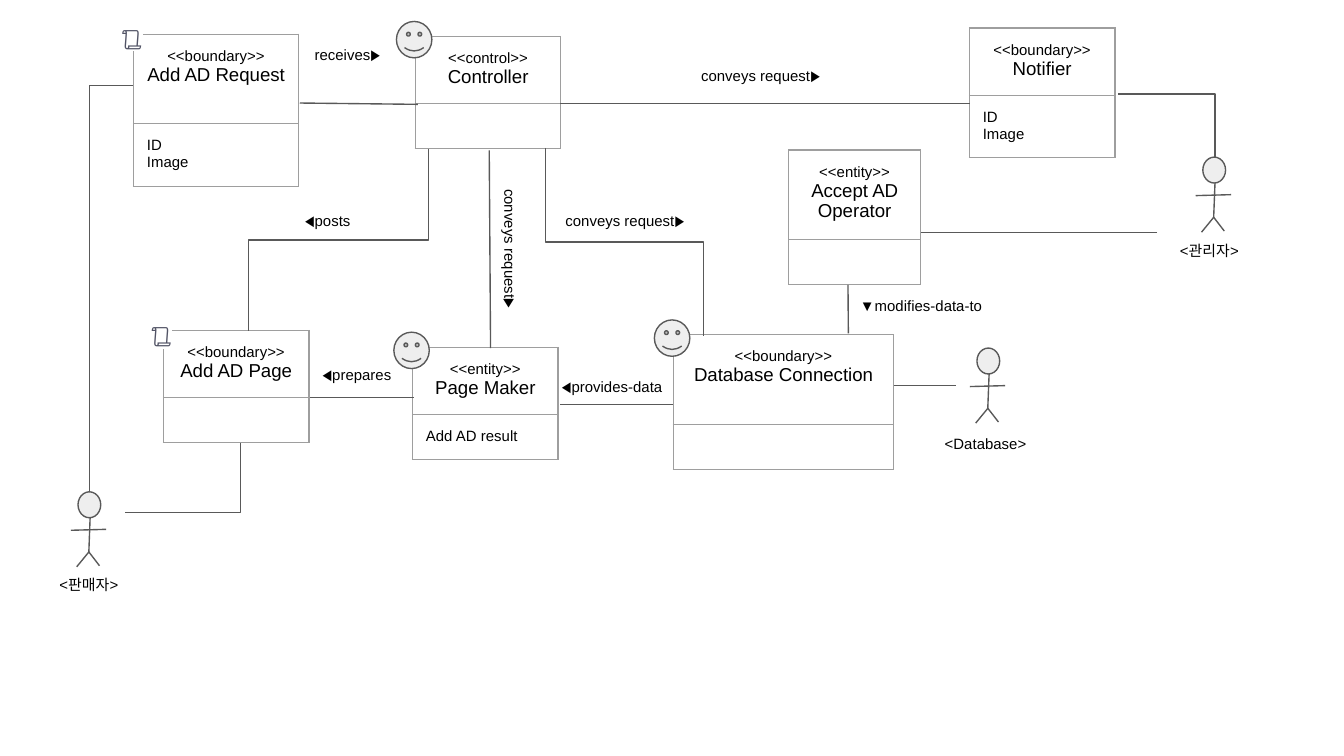
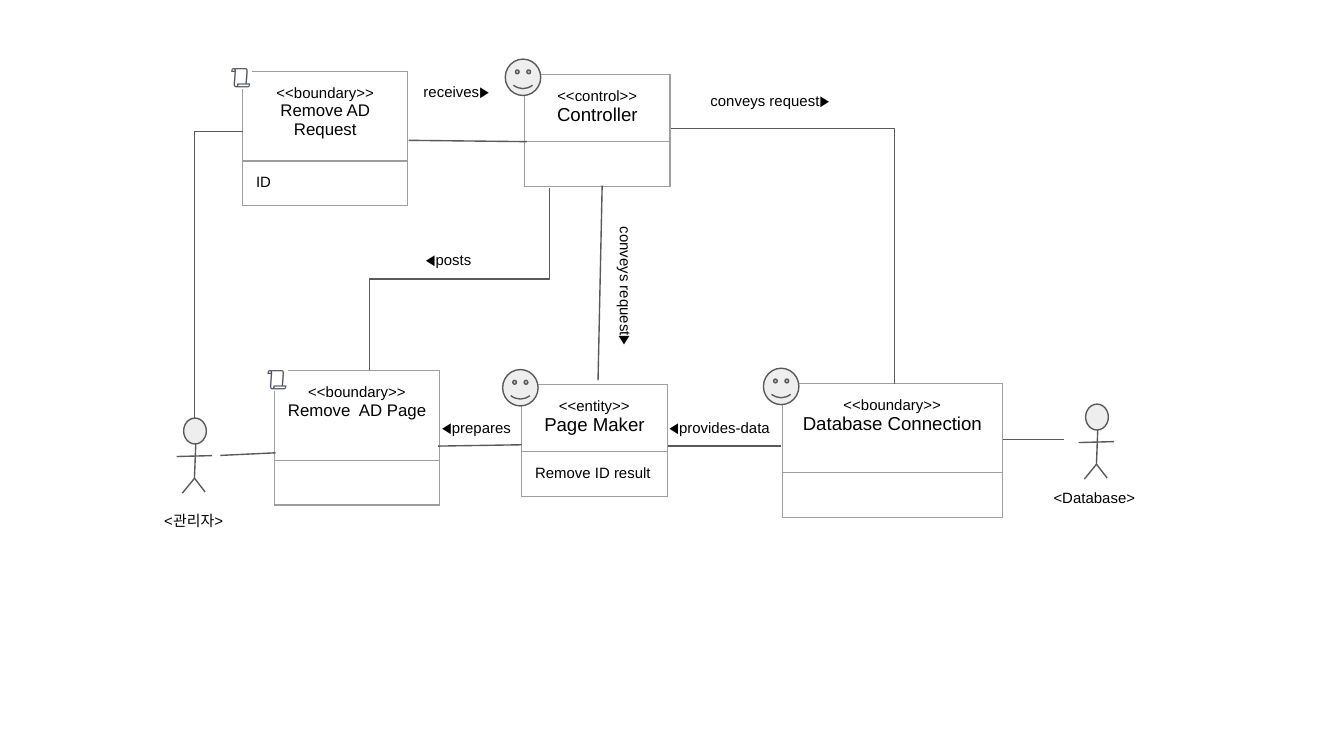
"""Build two class diagrams for adding and removing an advertisement."""
import pptx
import pptx.dml.color
import pptx.enum.dml
import pptx.enum.shapes
import pptx.enum.text
import pptx.oxml
import pptx.oxml.ns
import pptx.util
import lxml.etree

Pt = pptx.util.Pt
RGBColor = pptx.dml.color.RGBColor
SHAPE = pptx.enum.shapes.MSO_SHAPE
CONNECTOR = pptx.enum.shapes.MSO_CONNECTOR
LEFT = pptx.enum.text.PP_ALIGN.LEFT
CENTER = pptx.enum.text.PP_ALIGN.CENTER
qn = pptx.oxml.ns.qn

BLACK = RGBColor(0x00, 0x00, 0x00)
WHITE = RGBColor(0xFF, 0xFF, 0xFF)
INK = RGBColor(0x59, 0x59, 0x59)
PALE = RGBColor(0xEE, 0xEE, 0xEE)
BORDER = RGBColor(0x9E, 0x9E, 0x9E)
SLATE = RGBColor(0x51, 0x53, 0x65)

FONT = "Arial"
SMALL = 8
LINE = 0.75
INSET = 7.2
LABEL_H = 24.5
FACE = (19, 19.5)
SCROLL = (36, 29)
HEAD = (12.2, 13.9)
LIMBS = [
    (5.8, 32.2, 6.5, 13.9),
    (6, 32, -0.7, 40.2),
    (5.8, 32.2, 11.5, 39.6),
    (-3.8, 20.6, 15.1, 20.1),
]

COMPACT = (78, 36, 24)
NOTIFIER = (78, 36, 33.5)
PAGE = (88.5, 48, 24)
REQUEST = (88.5, 48, 33.5)
DATABASE = (118, 48, 24)
OPERATOR = (70.5, 48, 24)

ADD_AD = {
    "boxes": [
        (222.5, 19.5, COMPACT, "<<control>>", "Controller", 10, []),
        (87.5, 177, COMPACT, "<<boundary>>", "Add AD Page", 10, []),
        (71.5, 18.3, REQUEST, "<<boundary>>", "Add AD Request", 10, ["ID", "Image"]),
        (221, 186.2, COMPACT, "<<entity>>", "Page Maker", 10, ["Add AD result"]),
        (360.7, 179.4, DATABASE, "<<boundary>>", "Database Connection", 10, []),
        (519.3, 15, NOTIFIER, "<<boundary>>", "Notifier", 10, ["ID", "Image"]),
        (422.6, 80.4, OPERATOR, "<<entity>>", "Accept AD Operator", 10, []),
    ],
    "faces": [(212.4, 11.5), (211, 178), (350.6, 171.4)],
    "scrolls": [(73.4, 165), (57.6, 5.8)],
    "actors": [(41.8, 263.5), (523.4, 186.5), (644.4, 84.2)],
    "lines": [
        (160.6, 55.2, 223.9, 55.9),
        (166.3, 213.1, 221.8, 213.1),
        (262.1, 80.6, 262.8, 186.5),
        (478.8, 206.6, 511.9, 206.6),
        (300.2, 216.7, 360.7, 216.7),
        (300.2, 55.5, 519.8, 55.5),
        (619.9, 124.5, 493.2, 124.5),
        (454.3, 152.6, 454.5, 178.6),
    ],
    "across_first": [
        (67, 274.5, 128.7, 237.6, 1),
        (599, 50.4, 650.9, 84.2, 1),
    ],
    "upright_first": [
        (48, 263.5, 71.3, 45.7, 1),
        (292.3, 79.2, 377, 180, 0.5),
        (133, 177.1, 229.7, 79.9, 0.5),
    ],
    "labels": [
        ("<판매자>", 8.6, 303.8, 78, CENTER, 0),
        ("<Database>", 499, 228, 60, LEFT, 0),
        ("<관리자>", 625, 124.5, 60, LEFT, 0),
        ("receives▶", 146.9, 19.4, 78.5, CENTER, 0),
        ("◀prepares", 165.6, 190.8, 73.5, LEFT, 0),
        ("conveys request▶", 287.3, 108.7, 95, CENTER, 0),
        ("conveys request▶", 223.2, 121, 95, CENTER, 90),
        ("◀provides-data", 293.8, 197.3, 73.5, LEFT, 0),
        ("◀posts", 156.2, 108.7, 73.5, LEFT, 0),
        ("conveys request▶", 360, 31, 95, CENTER, 0),
        ("▼modifies-data-to", 453.6, 154, 88.5, LEFT, 0),
    ],
}

REMOVE_AD = {
    "boxes": [
        (281, 39.8, COMPACT, "<<control>>", "Controller", 10, []),
        (130, 38.2, PAGE, "<<boundary>>", "Remove AD Request", 9, ["ID"]),
        (279.4, 206, COMPACT, "<<entity>>", "Page Maker", 10, ["Remove ID result"]),
        (419, 205.3, DATABASE, "<<boundary>>", "Database Connection", 10, []),
        (147, 198.6, PAGE, "<<boundary>>", "Remove  AD Page", 9, []),
    ],
    "faces": [(270.7, 31.7), (269.3, 198), (409, 197.3)],
    "scrolls": [(116, 26), (135.4, 188)],
    "actors": [(98.4, 224), (581.6, 216.5)],
    "lines": [
        (218.9, 75.2, 282.2, 75.9),
        (537.1, 235.5, 570.2, 235.5),
        (357.8, 239, 418.3, 239),
        (118.1, 244, 147.6, 242.6),
        (234.7, 239, 279.4, 238.3),
        (322.6, 99.4, 320.4, 203.8),
    ],
    "across_first": [],
    "upright_first": [
        (104.2, 223.9, 130.3, 70.5, 1),
        (359.3, 68.7, 479.3, 205.9, 0),
        (197.8, 198, 294.5, 100.8, 0.5),
    ],
    "labels": [
        ("<관리자>", 64.8, 269.3, 78, CENTER, 0),
        ("<Database>", 557.3, 257, 60, LEFT, 0),
        ("receives▶", 205.2, 39.6, 78.5, CENTER, 0),
        ("conveys request▶", 365, 44.4, 95, CENTER, 0),
        ("◀provides-data", 351.4, 219.6, 73.5, LEFT, 0),
        ("◀prepares", 229.7, 219.6, 73.5, LEFT, 0),
        ("◀posts", 221, 129.6, 73.5, LEFT, 0),
        ("conveys request▶", 285.1, 141.1, 95, CENTER, 90),
    ],
}


def write(p, text, size=SMALL, align=LEFT, color=BLACK):
    p.text = text
    p.alignment = align
    p.font.size = Pt(size)
    p.font.name = FONT
    p.font.color.rgb = color


def set_borders(cell):
    tc_pr = cell._tc.get_or_add_tcPr()
    for side in ("a:lnL", "a:lnR", "a:lnT", "a:lnB"):
        ln = lxml.etree.SubElement(tc_pr, qn(side), w=str(Pt(LINE)))
        fill = lxml.etree.SubElement(ln, qn("a:solidFill"))
        lxml.etree.SubElement(fill, qn("a:srgbClr"), val=str(BORDER))


def add_box(s, x, y, size, stereotype, name, name_size, attributes):
    width, *heights = size
    frame = s.shapes.add_table(2, 1, Pt(x), Pt(y), Pt(width), Pt(sum(heights)))
    table = frame.table
    table.first_row = table.horz_banding = False
    title = [(stereotype, SMALL, CENTER), (name, name_size, CENTER)]
    body = [(text, SMALL, LEFT) for text in attributes or [""]]
    for i, (height, paragraphs) in enumerate(zip(heights, (title, body))):
        table.rows[i].height = Pt(height)
        cell = table.cell(i, 0)
        set_margins(cell)
        set_borders(cell)
        cell.fill.background()
        fill_text(cell.text_frame, paragraphs)


def set_margins(holder):
    holder.margin_left = holder.margin_right = Pt(INSET)
    holder.margin_top = holder.margin_bottom = Pt(INSET)


def fill_text(tf, paragraphs):
    for i, args in enumerate(paragraphs):
        p = tf.add_paragraph() if i else tf.paragraphs[0]
        write(p, *args)
        if not args[0]:
            lxml.etree.SubElement(p._p, qn("a:endParaRPr"), sz=str(args[1] * 100))


def add_text(s, x, y, width, height, *args):
    box = s.shapes.add_textbox(Pt(x), Pt(y), Pt(width), Pt(height))
    tf = box.text_frame
    tf.word_wrap = True
    tf.auto_size = pptx.enum.text.MSO_AUTO_SIZE.SHAPE_TO_FIT_TEXT
    set_margins(tf)
    write(tf.paragraphs[0], *args)
    return box


def add_scroll(s, x, y):
    box = add_text(s, x, y, *SCROLL, "📜", 12, LEFT, SLATE)
    r = box.text_frame.paragraphs[0].runs[0]
    r.font.color.rgb = SLATE
    highlight = lxml.etree.Element(qn("a:highlight"))
    lxml.etree.SubElement(highlight, qn("a:srgbClr"), val=str(WHITE))
    r._r.rPr.find(qn("a:solidFill")).addnext(highlight)


def add_filled(shapes, kind, x, y, size):
    shape = shapes.add_shape(kind, Pt(x), Pt(y), *map(Pt, size))
    shape.shadow.inherit = False
    shape.fill.solid()
    shape.fill.fore_color.rgb = PALE
    shape.line.color.rgb = INK
    shape.line.width = Pt(LINE)


def add_line(shapes, x1, y1, x2, y2, kind=CONNECTOR.STRAIGHT):
    line = shapes.add_connector(kind, Pt(x1), Pt(y1), Pt(x2), Pt(y2))
    line.line.color.rgb = INK
    line.line.width = Pt(LINE)
    lxml.etree.SubElement(line._element.spPr, qn("a:effectLst"))
    return line


def add_elbow(s, x1, y1, x2, y2, bend, upright=False):
    if upright:
        cx, cy = (x1 + x2) / 2, (y1 + y2) / 2
        half_w, half_h = (y1 - y2) / 2, (x2 - x1) / 2
        x1, y1, x2, y2 = cx - half_w, cy - half_h, cx + half_w, cy + half_h
    line = add_line(s.shapes, x1, y1, x2, y2, CONNECTOR.ELBOW)
    sp_pr = line._element.spPr
    if upright:
        sp_pr.find(qn("a:xfrm")).set("rot", str(270 * 60000))
    guides = sp_pr.find(qn("a:prstGeom")).find(qn("a:avLst"))
    lxml.etree.SubElement(guides, qn("a:gd"), name="adj1", fmla=f"val {round(bend * 100000)}")


def add_actor(s, x, y):
    shapes = s.shapes.add_group_shape().shapes
    add_filled(shapes, SHAPE.OVAL, x, y, HEAD)
    for x1, y1, x2, y2 in LIMBS:
        add_line(shapes, x + x1, y + y1, x + x2, y + y2)


def add_diagram(prs, diagram):
    s = prs.slides.add_slide(prs.slide_layouts[6])
    for box in diagram["boxes"]:
        add_box(s, *box)
    for x, y in diagram["faces"]:
        add_filled(s.shapes, SHAPE.SMILEY_FACE, x, y, FACE)
    for x, y in diagram["scrolls"]:
        add_scroll(s, x, y)
    for x, y in diagram["actors"]:
        add_actor(s, x, y)
    for line in diagram["lines"]:
        add_line(s.shapes, *line)
    for elbow in diagram["across_first"]:
        add_elbow(s, *elbow)
    for elbow in diagram["upright_first"]:
        add_elbow(s, *elbow, upright=True)
    for text, x, y, width, align, rotation in diagram["labels"]:
        label = add_text(s, x, y, width, LABEL_H, text, SMALL, align)
        label.rotation = rotation


def main():
    prs = pptx.Presentation()
    prs.slide_width, prs.slide_height = Pt(720), Pt(405)
    for diagram in (ADD_AD, REMOVE_AD):
        add_diagram(prs, diagram)
    prs.save("out.pptx")


if __name__ == "__main__":
    main()
